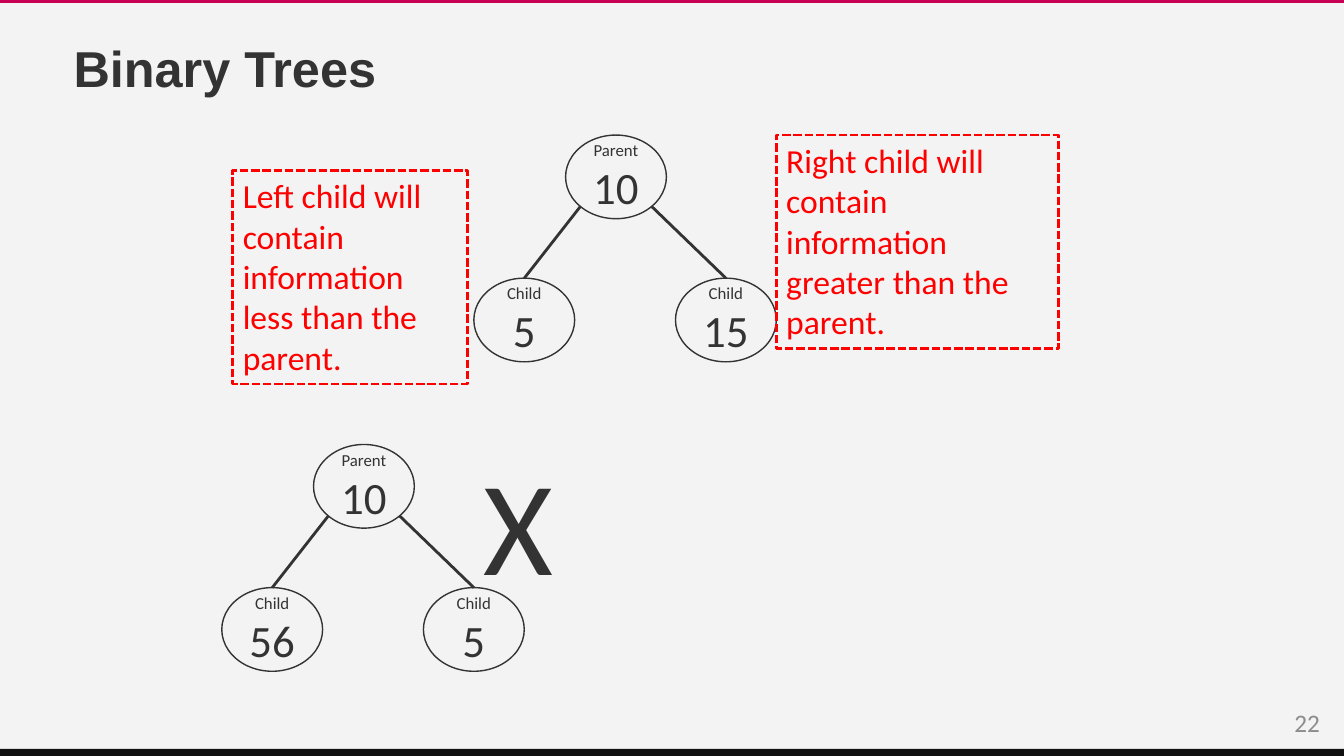
from lxml import etree
from pptx import Presentation
from pptx.dml.color import RGBColor
from pptx.enum.dml import MSO_LINE
from pptx.enum.shapes import MSO_CONNECTOR, MSO_SHAPE
from pptx.enum.text import MSO_ANCHOR, MSO_AUTO_SIZE, PP_ALIGN
from pptx.oxml.ns import qn
from pptx.util import Inches, Pt

OVAL, RECTANGLE = MSO_SHAPE.OVAL, MSO_SHAPE.RECTANGLE
STRAIGHT = MSO_CONNECTOR.STRAIGHT
DASHED = MSO_LINE.SQUARE_DOT
LEFT, CENTER, RIGHT = PP_ALIGN.LEFT, PP_ALIGN.CENTER, PP_ALIGN.RIGHT
TOP, MIDDLE = MSO_ANCHOR.TOP, MSO_ANCHOR.MIDDLE
FIT_SHAPE = MSO_AUTO_SIZE.SHAPE_TO_FIT_TEXT

PAPER = RGBColor(0xF3, 0xF3, 0xF3)
INK = RGBColor(0x33, 0x33, 0x33)
BLACK = RGBColor(0x10, 0x10, 0x10)
MAGENTA = RGBColor(0xC8, 0x00, 0x54)
GRAY = RGBColor(0x8C, 0x8C, 0x8C)
RED = RGBColor(0xFF, 0x00, 0x00)

SLIDE_W, SLIDE_H = 13.33, 7.5
NODE_W, NODE_H = 1, 0.83
DIAGONAL = 0.5 ** 0.5 / 2


def style(paragraph, size, color, align=LEFT, font="Calibri"):
    """Set the alignment and font of a paragraph."""
    paragraph.alignment = align
    paragraph.font.name = font
    paragraph.font.size = Pt(size)
    paragraph.font.color.rgb = color


def add_bar(slide, top, height, color):
    """Add a full-width bar at an edge of the slide."""
    bar = slide.shapes.add_shape(RECTANGLE, 0, Inches(top), Inches(SLIDE_W), Inches(height))
    bar.shadow.inherit = False
    bar.fill.solid()
    bar.fill.fore_color.rgb = color
    bar.line.fill.background()


def add_title(slide, box, text):
    """Place the slide title in its placeholder."""
    title = slide.shapes.title
    title.left, title.top, title.width, title.height = map(Inches, box)
    title.text_frame.text = text
    title.text_frame.vertical_anchor = MIDDLE
    heading = title.text_frame.paragraphs[0]
    style(heading, 36, INK, font="Arial")
    heading.font.bold = True
    heading.line_spacing = 0.9


def add_label(slide, box, text, size, color, align=LEFT, anchor=TOP):
    """Add a plain line of text."""
    frame = slide.shapes.add_textbox(*map(Inches, box)).text_frame
    frame.word_wrap = True
    frame.vertical_anchor = anchor
    frame.text = text
    style(frame.paragraphs[0], size, color, align)


def add_note(slide, box, text):
    """Add a red dashed box with an explanation."""
    note = slide.shapes.add_shape(RECTANGLE, *map(Inches, box))
    note.shadow.inherit = False
    note.fill.background()
    note.line.color.rgb = RED
    note.line.width = Pt(2)
    note.line.dash_style = DASHED
    frame = note.text_frame
    frame.word_wrap = True
    frame.auto_size = FIT_SHAPE
    frame.vertical_anchor = TOP
    frame.text = text
    style(frame.paragraphs[0], 24, RED)


def add_node(tree, left, top, role, value):
    """Add a tree node showing its role above its value."""
    node = tree.shapes.add_shape(OVAL, *map(Inches, (left, top, NODE_W, NODE_H)))
    node.shadow.inherit = False
    node.fill.background()
    node.line.color.rgb = INK
    node.line.width = Pt(1)
    frame = node.text_frame
    frame.vertical_anchor = MIDDLE
    frame.text = f"{role}\n{value}"
    for paragraph, size in zip(frame.paragraphs, (12, 32)):
        style(paragraph, size, INK, CENTER)
    return node


def add_tree(slide, left, top, parent, children):
    """Add a parent with two children, grouped, from the given corner."""
    tree = slide.shapes.add_group_shape()
    parent_left, child_top = left + 0.91, top + 1.42
    add_node(tree, parent_left, top, "Parent", parent)
    nodes = [add_node(tree, left + 2 * i, child_top, "Child", value)
             for i, value in enumerate(children)]
    start_y = top + NODE_H * (0.5 + DIAGONAL)
    for node, side in zip(nodes, (-1, 1)):
        start_x = parent_left + NODE_W * (0.5 + side * DIAGONAL)
        branch = tree.shapes.add_connector(
            STRAIGHT, Inches(start_x), Inches(start_y), node.left, node.top)
        branch.end_connect(node, 0)
        branch.line.color.rgb = INK
        branch.line.width = Pt(2)
        etree.SubElement(branch._element.spPr, qn("a:effectLst"))


def build_slide(prs):
    """Build the binary trees slide."""
    slide = prs.slides.add_slide(prs.slide_layouts[5])
    slide.background.fill.solid()
    slide.background.fill.fore_color.rgb = PAPER
    add_bar(slide, SLIDE_H - 0.07, 0.07, BLACK)
    add_bar(slide, 0, 0.03, MAGENTA)
    add_label(slide, (10.94, 6.97, 2.25, 0.4), "22", 18, GRAY, RIGHT, MIDDLE)
    add_title(slide, (0.63, 0.36, 9.87, 0.7), "Binary Trees")
    add_tree(slide, 4.7, 1.34, 10, (5, 15))
    add_note(slide, (2.31, 1.69, 2.33, 2.12),
             "Left child will contain information less than the parent.")
    add_note(slide, (7.7, 1.34, 2.8, 2.12),
             "Right child will contain information greater than the parent.")
    add_label(slide, (4.7, 4.33, 0.97, 1.72), "X", 96, INK)
    add_tree(slide, 2.2, 4.41, 10, (56, 5))


def main():
    """Create and save the presentation."""
    prs = Presentation()
    prs.slide_width, prs.slide_height = Inches(SLIDE_W), Inches(SLIDE_H)
    build_slide(prs)
    prs.save("out.pptx")


if __name__ == "__main__":
    main()
